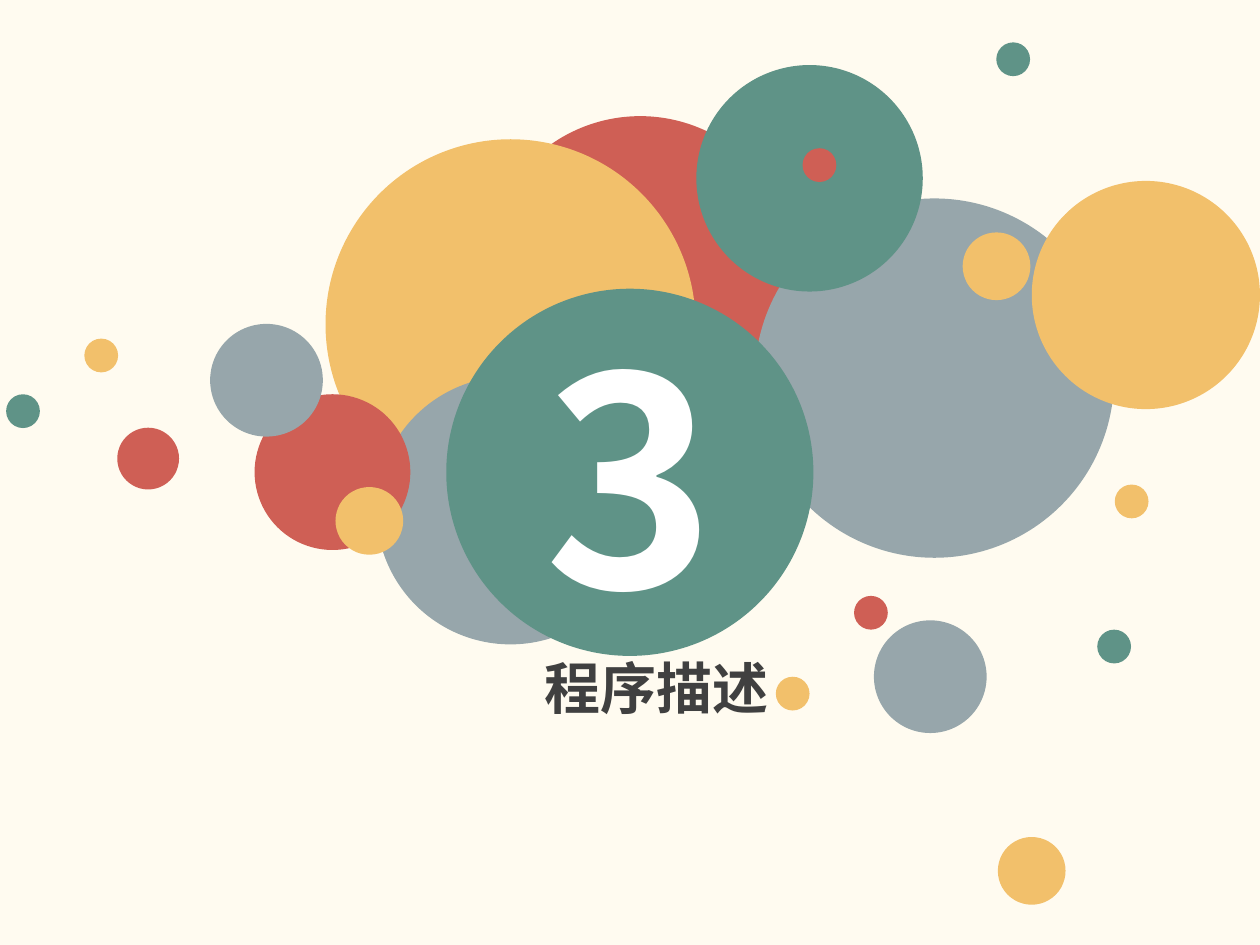
"""Build a section title slide: number 3 among coloured circles."""
from dataclasses import dataclass

from lxml import etree
from pptx import Presentation
from pptx.dml.color import RGBColor
from pptx.enum.shapes import MSO_SHAPE
from pptx.enum.text import MSO_ANCHOR, MSO_AUTO_SIZE, PP_ALIGN
from pptx.oxml.ns import qn
from pptx.util import Pt

OVAL = MSO_SHAPE.OVAL
MIDDLE = MSO_ANCHOR.MIDDLE
CENTER = PP_ALIGN.CENTER
GROW = MSO_AUTO_SIZE.SHAPE_TO_FIT_TEXT


@dataclass(frozen=True)
class Theme:
    cream: str = "FFFBF0"
    red: str = "CF5F55"
    yellow: str = "F2C06B"
    gray: str = "97A6AB"
    green: str = "5F9387"
    white: str = "FFFFFF"
    ink: str = "404040"
    font: str = "Noto Sans CJK SC"
    number_size: int = 166
    title_size: int = 32


T = Theme()
DOT, SMALL, MEDIUM = 19.3, 38.7, 64.4


def add_circle(s, x, y, d, color):
    sp = s.shapes.add_shape(OVAL, Pt(x), Pt(y), Pt(d), Pt(d))
    sp.shadow.inherit = False
    sp.fill.solid()
    sp.fill.fore_color.rgb = RGBColor.from_string(color)
    sp.line.fill.background()
    return sp


def add_run(p, text, size, color):
    r = p.add_run()
    r.text = text
    r.font.size = Pt(size)
    r.font.bold = True
    r.font.color.rgb = RGBColor.from_string(color)
    r.font.name = T.font
    etree.SubElement(r.font._element, qn("a:ea"), typeface=T.font)


prs = Presentation()
prs.slide_width, prs.slide_height = Pt(720), Pt(540)
s = prs.slides.add_slide(prs.slide_layouts[6])
s.background.fill.solid()
s.background.fill.fore_color.rgb = RGBColor.from_string(T.cream)

circles = [
    (277.2, 66.4, 177.2, T.red),
    (186, 79.6, 211.5, T.yellow),
    (215.1, 215, 153.2, T.gray),
    (431.3, 113.4, 205.3, T.gray),
    (397.9, 37.2, 129.4, T.green),
    (145.5, 225.3, 89, T.red),
    (499.4, 354.5, MEDIUM, T.gray),
    (488, 340.5, DOT, T.red),
    (443.3, 386.7, DOT, T.yellow),
    (627, 359.8, DOT, T.green),
    (570.2, 478.3, SMALL, T.yellow),
    (589.6, 103.4, 130.4, T.yellow),
    (120.1, 185.1, MEDIUM, T.gray),
    (67, 244.4, 35.3, T.red),
    (48.2, 193.5, DOT, T.yellow),
    (3.5, 225.3, DOT, T.green),
    (191.7, 278.3, SMALL, T.yellow),
    (458.6, 84.7, DOT, T.red),
    (637, 276.9, DOT, T.yellow),
    (569.3, 24.2, DOT, T.green),
    (550.1, 132.8, SMALL, T.yellow),
]
for x, y, d, color in circles:
    add_circle(s, x, y, d, color)

number = add_circle(s, 255, 165, 209.8, T.green)
tf = number.text_frame
tf.vertical_anchor = MIDDLE
p = tf.paragraphs[0]
p.alignment = CENTER
add_run(p, "3", T.number_size, T.white)

title = s.shapes.add_textbox(Pt(304.3), Pt(370), Pt(530), Pt(46))
tf = title.text_frame
tf.word_wrap = True
tf.auto_size = GROW
add_run(tf.paragraphs[0], "程序描述", T.title_size, T.ink)

prs.save("out.pptx")
